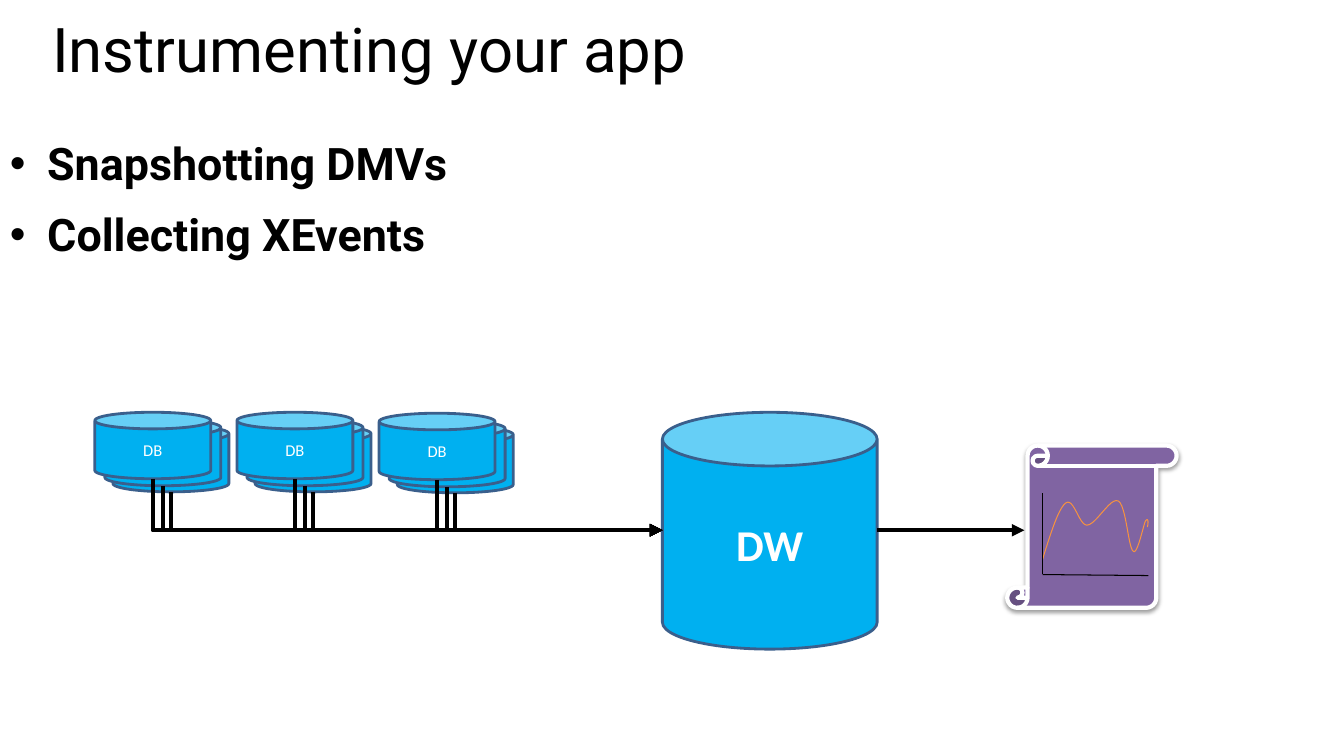
from lxml import etree
from pptx import Presentation
from pptx.dml.color import RGBColor
from pptx.enum.shapes import MSO_CONNECTOR, MSO_SHAPE
from pptx.enum.text import MSO_ANCHOR, PP_ALIGN
from pptx.oxml.ns import qn
from pptx.util import Pt

PX = 9144
CAN = MSO_SHAPE.CAN
SCROLL = MSO_SHAPE.VERTICAL_SCROLL
STRAIGHT = MSO_CONNECTOR.STRAIGHT
ELBOW = MSO_CONNECTOR.ELBOW
MIDDLE = MSO_ANCHOR.MIDDLE
CENTER = PP_ALIGN.CENTER

CURVE_START = (1034, 555)
CURVE = [
    ((1042, 529), (1050, 504), (1057, 499)),
    ((1065, 493), (1070, 521), (1078, 521)),
    ((1087, 521), (1101, 493), (1109, 497)),
    ((1117, 501), (1119, 544), (1124, 547)),
    ((1128, 551), (1134, 521), (1136, 517)),
    ((1139, 513), (1139, 518), (1138, 523)),
]


def color(value):
    return RGBColor.from_string(value)


def emu(*lengths):
    return [round(length * PX) for length in lengths]


def add_xml(parent, tag, **attributes):
    return etree.SubElement(parent, qn(tag), attributes)


def bezier(p0, p1, p2, p3, steps=12):
    points = []
    for i in range(1, steps + 1):
        t = i / steps
        u = 1 - t
        weights = (u**3, 3 * u * u * t, 3 * u * t * t, t**3)
        points.append(tuple(sum(w * p[axis] for w, p in zip(weights, (p0, p1, p2, p3)))
                            for axis in (0, 1)))
    return points


class Deck:
    """Holds the style and the current slide, and draws each kind of element."""

    heading_font = "Roboto"
    label_font = "Calibri"
    ink = "000000"
    paper = "FFFFFF"
    can_fill = "00B0F0"
    can_line = "3A5F8C"

    def __init__(self, width, height):
        self.prs = Presentation()
        self.prs.slide_width, self.prs.slide_height = emu(width, height)
        self.s = self.prs.slides.add_slide(self.prs.slide_layouts[6])

    def font(self, p, name, size, value, bold=False):
        p.font.name = name
        p.font.size = Pt(size)
        p.font.bold = bold
        p.font.color.rgb = color(value)

    def text(self, box, lines, size, bold=False, bullets=False, spacing=None):
        tf = self.s.shapes.add_textbox(*emu(*box)).text_frame
        tf.word_wrap = True
        for i, line in enumerate(lines):
            p = tf.add_paragraph() if i else tf.paragraphs[0]
            p.text = line
            p.line_spacing = spacing
            if i:
                p.space_before = Pt(12)
            if bullets:
                indent = emu(37)[0]
                pPr = p._p.get_or_add_pPr()
                pPr.set("marL", str(indent))
                pPr.set("indent", str(-indent))
                add_xml(pPr, "a:buFont", typeface="Arial")
                add_xml(pPr, "a:buChar", char="•")
            self.font(p, self.heading_font, size, self.ink, bold)

    def shape(self, kind, box, fill, line, width):
        sp = self.s.shapes.add_shape(kind, *emu(*box))
        sp.shadow.inherit = False
        sp.fill.solid()
        sp.fill.fore_color.rgb = color(fill)
        sp.line.color.rgb = color(line)
        sp.line.width = Pt(width)
        return sp

    def can(self, box, label="", size=11.8, bold=False):
        sp = self.shape(CAN, box, self.can_fill, self.can_line, 2)
        if label:
            sp.text_frame.vertical_anchor = MIDDLE
            p = sp.text_frame.paragraphs[0]
            p.text = label
            p.alignment = CENTER
            self.font(p, self.label_font, size, self.paper, bold)

    def scroll(self, box):
        sp = self.shape(SCROLL, box, "8064A2", self.paper, 3)
        effects = sp._element.spPr.find(qn("a:effectLst"))
        shadow = add_xml(effects, "a:outerShdw", blurRad="40000", dist="20000",
                         dir="5400000", rotWithShape="0")
        add_xml(add_xml(shadow, "a:srgbClr", val=self.ink), "a:alpha", val="38000")

    def line(self, x1, y1, x2, y2, width=0.75, arrow=False, kind=STRAIGHT):
        c = self.s.shapes.add_connector(kind, *emu(x1, y1, x2, y2))
        c.line.color.rgb = color(self.ink)
        c.line.width = Pt(width)
        spPr = c._element.spPr
        if arrow:
            add_xml(spPr.find(qn("a:ln")), "a:tailEnd", type="triangle")
        add_xml(spPr, "a:effectLst")
        return c

    def down_then_right(self, x1, y1, x2, y2):
        c = self.line(x1, y1, x2, y2, 3, True, ELBOW)
        across, down = x2 - x1, y2 - y1
        c.left, c.top, c.width, c.height = emu(
            x1 + (across - down) / 2, y1 + (down - across) / 2, down, across)
        spPr = c._element.spPr
        spPr.find(qn("a:prstGeom")).set("prst", "bentConnector2")
        xfrm = spPr.find(qn("a:xfrm"))
        xfrm.set("rot", "16200000")
        xfrm.set("flipH", "1")

    def curve(self, start, segments, value):
        points = []
        last = start
        for c1, c2, end in segments:
            points += bezier(last, c1, c2, end)
            last = end
        builder = self.s.shapes.build_freeform(*emu(*start), scale=1.0)
        builder.add_line_segments([emu(*point) for point in points], close=False)
        sp = builder.convert_to_shape()
        sp.shadow.inherit = False
        sp.fill.background()
        sp.line.color.rgb = color(value)
        sp.line.width = Pt(0.75)


def main():
    deck = Deck(1333, 750)
    deck.text((42, 20, 1260, 116), ["Instrumenting your app"], 44, spacing=0.8)
    deck.text((0, 130, 1274, 152), ["Snapshotting DMVs", "Collecting XEvents"], 32,
              bold=True, bullets=True)

    can_w, can_h = 115, 66
    stacks = [(94, 409), (235, 409), (376, 410)]
    offsets = [(18, 13, ""), (10, 7, ""), (0, 0, "DB")]
    warehouse_x, warehouse_w, flow_y = 657, 213, 526
    starts = []
    for x, y in stacks:
        for dx, dy, label in offsets:
            deck.can((x + dx, y + dy, can_w, can_h), label)
            starts.append((x + dx + can_w / 2, y + dy + can_h))
    deck.can((warehouse_x, 409, warehouse_w, 235), "DW", 31.4, True)
    for x, y in starts:
        deck.down_then_right(x, y, warehouse_x, flow_y)
    deck.line(warehouse_x + warehouse_w, flow_y, 1016, flow_y, 3, True)

    deck.scroll((999, 442, 168, 161))
    deck.curve(CURVE_START, CURVE, "F69240")
    deck.line(1034, 570, 1139, 571)
    deck.line(1034, 569, 1034, 489)
    deck.prs.save("out.pptx")


if __name__ == "__main__":
    main()
